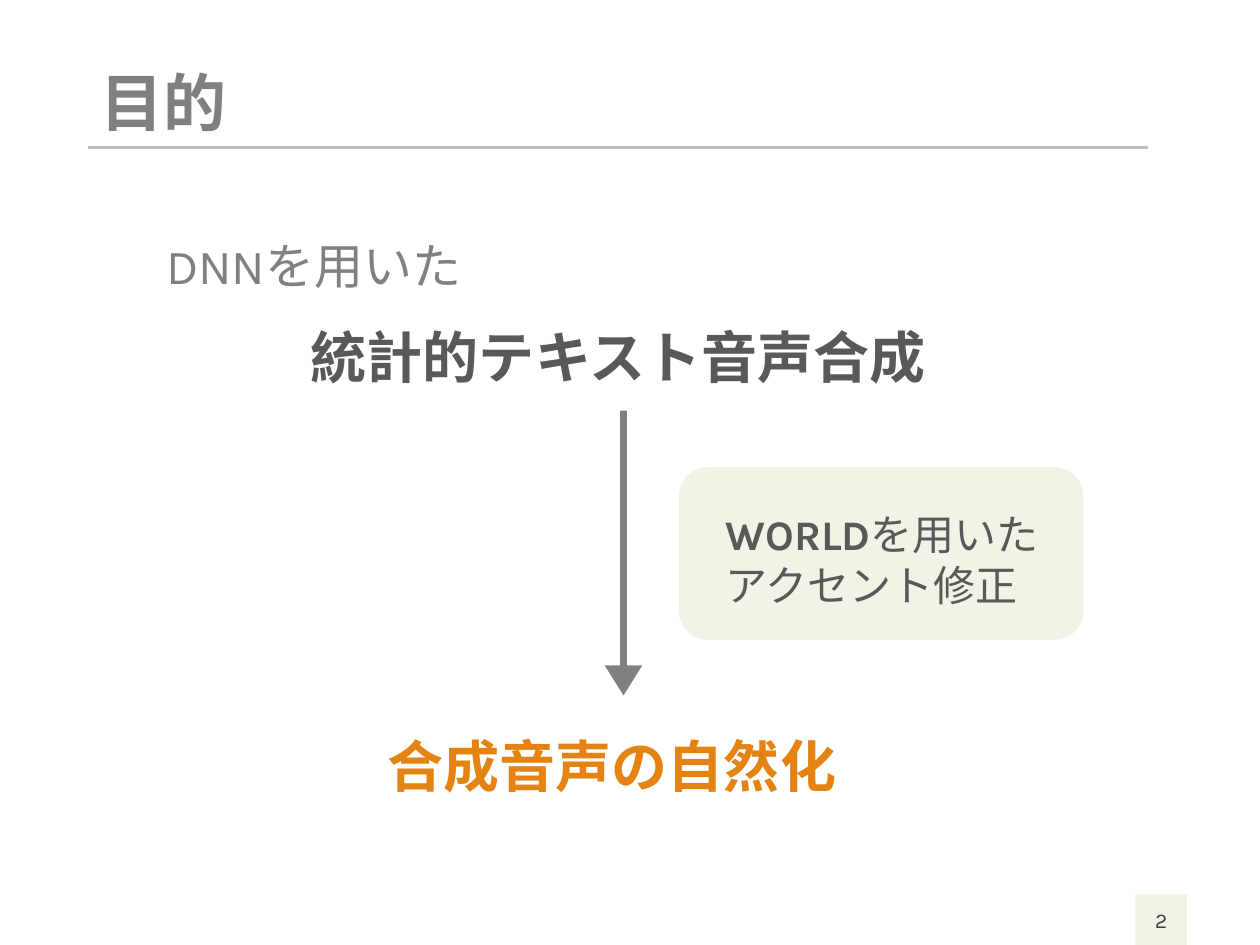
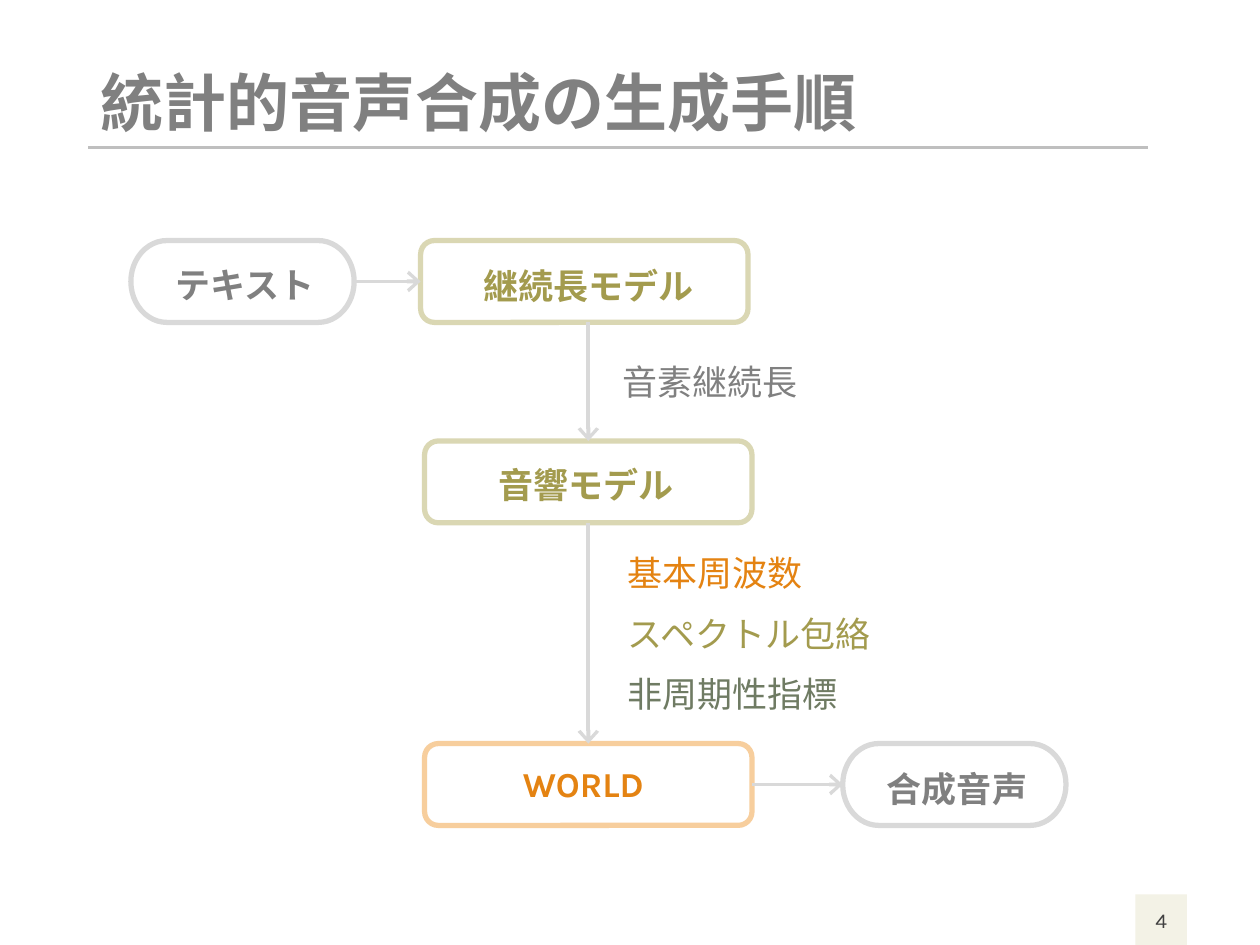
from lxml.etree import SubElement
from pptx import Presentation
from pptx.dml.color import RGBColor
from pptx.enum.shapes import MSO_CONNECTOR, MSO_SHAPE
from pptx.enum.text import MSO_ANCHOR, PP_ALIGN
from pptx.oxml.ns import qn
from pptx.util import Cm, Pt

HUES = {
    "grey": "808080", "dark": "595959", "ink": "404040",
    "rule": "BFBFBF", "pale": "D9D9D9", "cream": "F3F2E6",
    "olive": "A39B4E", "sand": "DAD7B3", "orange": "E48312",
    "peach": "F7CE9D", "moss": "6F7B63",
}
HUES = {name: RGBColor.from_string(code) for name, code in HUES.items()}
FONT = "Karla"


def add(page, box, kind=None, fill=None, line=None):
    """Add a plain shape, or a wrapping text box when no kind is given."""
    spot = [Cm(n) for n in box]
    if kind is None:
        item = page.shapes.add_textbox(*spot)
        item.text_frame.word_wrap = True
        return item
    item = page.shapes.add_shape(kind, *spot)
    item.shadow.inherit = False
    if fill:
        item.fill.solid()
        item.fill.fore_color.rgb = HUES[fill]
    else:
        item.fill.background()
    if line:
        item.line.color.rgb = HUES[line]
        item.line.width = Pt(3)
    else:
        item.line.fill.background()
    return item


def write(item, rows, size, hue, bold=False):
    """Fill an item with rows; a row is a string or a list of (words, bold)."""
    frame = item.text_frame
    for i, row in enumerate(rows):
        para = frame.add_paragraph() if i else frame.paragraphs[0]
        for words, heavy in [(row, bold)] if isinstance(row, str) else row:
            run = para.add_run()
            run.text = words
            style = {"name": FONT, "size": Pt(size), "bold": heavy}
            for key, value in style.items():
                setattr(run.font, key, value)
            run.font.color.rgb = HUES[hue]
    return frame


deck = Presentation()
deck.slide_width, deck.slide_height = Cm(25.4), Cm(19.05)

# Shared title, rule and page number
pages, wires = [], []
for title, number in [("目的", "2"), ("統計的音声合成の生成手順", "4")]:
    page = deck.slides.add_slide(deck.slide_layouts[6])
    pages.append(page)
    rule = page.shapes.add_connector(
        MSO_CONNECTOR.STRAIGHT, Cm(1.78), Cm(2.97), Cm(23.14), Cm(2.97))
    wires.append((rule, "rule", 1.5))
    tag = add(page, (22.89, 18.03, 1.04, 1.02), MSO_SHAPE.RECTANGLE, "cream")
    frame = write(tag, [number], 12, "ink")
    frame.vertical_anchor = MSO_ANCHOR.MIDDLE
    frame.margin_left = frame.margin_right = 0
    frame.paragraphs[0].alignment = PP_ALIGN.CENTER
    head = add(page, (1.78, 1.32, 21.34, 1.65))
    para = write(head, [title], 36, "grey", True).paragraphs[0]
    para.line_spacing, para.space_before = 0.9, Pt(10)
goal, flow = pages

# Purpose
arrow = add(goal, (12.19, 8.28, 0.76, 5.74), MSO_SHAPE.DOWN_ARROW, "grey")
arrow.adjustments[0], arrow.adjustments[1] = 0.18, 0.8
add(goal, (13.69, 9.42, 8.15, 3.48), MSO_SHAPE.ROUNDED_RECTANGLE, "cream")
fix = [[("WORLD", True), ("を用いた", False)], "アクセント修正"]
for box, rows, size, hue, bold in [
    ((3.1, 4.62, 7.06, 1.45), ["DNNを用いた"], 28, "grey", False),
    ((6.02, 6.38, 13.13, 1.63), ["統計的テキスト音声合成"], 32, "dark", True),
    ((7.57, 14.63, 10.03, 1.63), ["合成音声の自然化"], 32, "orange", True),
    ((14.38, 10.13, 7.39, 2.31), fix, 24, "dark", False),
]:
    write(add(goal, box), rows, size, hue, bold)

# Steps: box place, outline, then label place and colour
ROUND, PILL = MSO_SHAPE.ROUNDED_RECTANGLE, MSO_SHAPE.FLOWCHART_TERMINATOR
WIDE = {ROUND: 6.6, PILL: 4.5}
steps = []
for kind, left, top, line, words, x, y, width, hue in [
    (PILL, 2.64, 4.85, "pale", "テキスト", 3.28, 5.18, 3.38, "grey"),
    (ROUND, 8.48, 4.85, "sand", "継続長モデル", 9.5, 5.21, 5.11, "olive"),
    (ROUND, 8.56, 8.89, "sand", "音響モデル", 9.8, 9.22, 4.14, "olive"),
    (ROUND, 8.56, 14.99, "peach", "WORLD", 10.29, 15.24, 3.25, "orange"),
    (PILL, 16.99, 14.99, "pale", "合成音声", 17.63, 15.34, 3.38, "grey"),
]:
    steps.append(add(flow, (left, top, WIDE[kind], 1.65), kind, line=line))
    write(add(flow, (x, y, width, 1.12)), [words], 20, hue, True)

# Data passed between the steps
write(add(flow, (12.29, 7.14, 4.55, 1.12)), ["音素継続長"], 20, "grey")
traits = [("基本周波数", "orange"), ("スペクトル包絡", "olive"),
          ("非周期性指標", "moss")]
for i, (words, hue) in enumerate(traits):
    write(add(flow, (12.4, 11 + 1.22 * i, 5.74, 1.12)), [words], 20, hue)

# Arrows from each step to the next
for i, (out, into) in enumerate([(3, 1), (2, 0), (2, 0), (3, 1)]):
    wire = flow.shapes.add_connector(
        MSO_CONNECTOR.STRAIGHT, Cm(11.86), Cm(6.5), Cm(11.86), Cm(8.89))
    # The second box sits left of the column, so its arrow leaves off-centre
    if i != 1:
        wire.begin_connect(steps[i], out)
    wire.end_connect(steps[i + 1], into)
    wires.append((wire, "pale", 2.25))

for wire, hue, width in wires:
    wire.line.color.rgb = HUES[hue]
    wire.line.width = Pt(width)
    if hue == "pale":
        SubElement(wire.line._get_or_add_ln(), qn("a:tailEnd"),
                   type="arrow", w="lg", len="med")
    SubElement(wire._element.spPr, qn("a:effectLst"))

deck.save("out.pptx")
